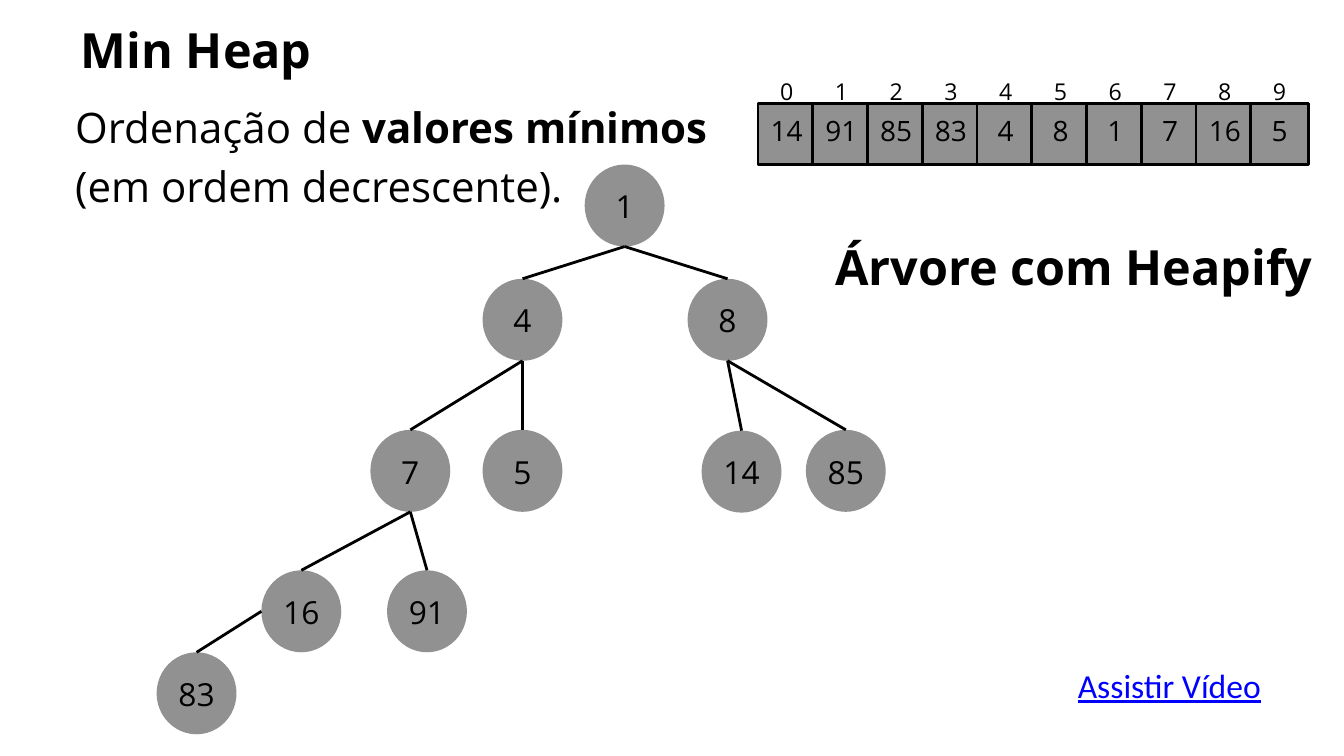
from lxml import etree
from pptx import Presentation
from pptx.dml.color import RGBColor
from pptx.enum import shapes, text
from pptx.oxml.ns import qn
from pptx.util import Cm, Pt

FONT = "Open Sans"
BLACK, GRAY, BLUE = "000000", "919191", "0000FF"
LINE_WIDTH = Pt(3)

ARRAY_VALUES = [14, 91, 85, 83, 4, 8, 1, 7, 16, 5]
NODE_WIDTH, NODE_HEIGHT = 3.02, 3.1
# Node value: left and top within the tree, parent value
TREE_NODES = {
    1: (16.18, 0, None),
    4: (12.32, 4.32, 1),
    8: (20.07, 4.32, 1),
    7: (8.08, 10.03, 4),
    5: (12.32, 10.03, 4),
    14: (20.6, 10.06, 8),
    85: (24.54, 10.03, 8),
    16: (3.96, 15.34, 7),
    91: (8.71, 15.34, 7),
    83: (0, 18.44, 16),
}


def color(hex_value):
    return RGBColor.from_string(hex_value)


def set_margins(frame, left=0, top=0, right=0, bottom=0):
    frame.margin_left, frame.margin_top = Cm(left), Cm(top)
    frame.margin_right, frame.margin_bottom = Cm(right), Cm(bottom)


def format_paragraph(paragraph, size, spacing=None, centered=True, bold=False,
                     font=FONT, font_color=BLACK):
    paragraph.alignment = text.PP_ALIGN.CENTER if centered else text.PP_ALIGN.LEFT
    if spacing:
        paragraph.line_spacing = Pt(spacing)
    for run in paragraph.runs:
        run.font.name, run.font.size, run.font.bold = font, Pt(size), bold
        run.font.color.rgb = color(font_color)


def add_text(slide, left, top, width, height, content):
    shape = slide.shapes.add_textbox(Cm(left), Cm(top), Cm(width), Cm(height))
    frame = shape.text_frame
    frame.word_wrap = True
    set_margins(frame)
    frame.text = content
    return frame


def add_filled_shape(slide, kind, left, top, width, height, value, size, spacing,
                     margins, outlined):
    shape = slide.shapes.add_shape(kind, Cm(left), Cm(top), Cm(width), Cm(height))
    shape.shadow.inherit = False
    shape.fill.solid()
    shape.fill.fore_color.rgb = color(GRAY)
    if outlined:
        shape.line.color.rgb = color(BLACK)
        shape.line.width = LINE_WIDTH
    else:
        shape.line.fill.background()
    frame = shape.text_frame
    set_margins(frame, *margins)
    frame.vertical_anchor = text.MSO_ANCHOR.MIDDLE
    frame.text = str(value)
    format_paragraph(frame.paragraphs[0], size, spacing)
    return shape


def place_title(slide, left, top, width, height):
    title = slide.shapes.title
    title.left, title.top, title.width, title.height = map(Cm, (left, top, width, height))
    frame = title.text_frame
    frame.text = "Min Heap"
    frame.word_wrap = True
    frame.auto_size = text.MSO_AUTO_SIZE.NONE
    frame.vertical_anchor = text.MSO_ANCHOR.TOP
    set_margins(frame)
    format_paragraph(frame.paragraphs[0], 52, 72.8, bold=True)


def add_description(slide, left, top, width, height):
    frame = add_text(slide, left, top, width, height,
                     "Ordenação de \n(em ordem decrescente).")
    strong_run = frame.paragraphs[0].add_run()
    strong_run.text = "valores mínimos"
    for paragraph in frame.paragraphs:
        format_paragraph(paragraph, 45, 63, centered=False)
    strong_run.font.bold = True


def add_array(slide, left, top, width, height):
    index_height, cell_width = 1.14, 2.17
    pitch = (width - cell_width) / (len(ARRAY_VALUES) - 1)
    for index, value in enumerate(ARRAY_VALUES):
        cell_left = left + index * pitch
        add_filled_shape(slide, shapes.MSO_SHAPE.RECTANGLE, cell_left, top + index_height,
                         cell_width, height - index_height, value, 30, 42,
                         (0.15, 0.15, 0.15, 0.63), outlined=True)
        # Index above the cell
        label = add_text(slide, cell_left, top, cell_width, index_height, str(index))
        format_paragraph(label.paragraphs[0], 24.8, 34.7)


def add_edge(slide, parent, child):
    # The last leaf hangs from the left side of its parent
    if child.left + child.width < parent.left:
        start = parent.left, parent.top + parent.height // 2
    else:
        start = parent.left + parent.width // 2, parent.top + parent.height
    edge = slide.shapes.add_connector(shapes.MSO_CONNECTOR.STRAIGHT, *start,
                                      child.left + child.width // 2, child.top)
    edge.line.color.rgb = color(BLACK)
    edge.line.width = LINE_WIDTH
    etree.SubElement(edge._element.spPr, qn("a:effectLst"))


def add_tree(slide, left, top):
    nodes = {}
    for value, (x, y, _) in TREE_NODES.items():
        nodes[value] = add_filled_shape(
            slide, shapes.MSO_SHAPE.OVAL, left + x, top + y, NODE_WIDTH, NODE_HEIGHT,
            value, 34, 47.6, (0.13, 0.13, 0.13, 0.33), outlined=False)
    for value, (_, _, parent) in TREE_NODES.items():
        if parent is not None:
            # A child wholly left of its parent's level start joins its side
            add_edge(slide, nodes[parent], nodes[value]) if value == 83 else \
                add_bottom_edge(slide, nodes[parent], nodes[value])


def add_bottom_edge(slide, parent, child):
    edge = slide.shapes.add_connector(
        shapes.MSO_CONNECTOR.STRAIGHT,
        parent.left + parent.width // 2, parent.top + parent.height,
        child.left + child.width // 2, child.top)
    edge.line.color.rgb = color(BLACK)
    edge.line.width = LINE_WIDTH
    etree.SubElement(edge._element.spPr, qn("a:effectLst"))


def add_caption(slide, left, top, width, height):
    frame = add_text(slide, left, top, width, height, "Árvore com Heapify")
    format_paragraph(frame.paragraphs[0], 52, 72.8, bold=True)


def add_video_label(slide, left, top, width, height):
    frame = add_text(slide, left, top, width, height, "Assistir Vídeo")
    set_margins(frame, 0.25, 0.13, 0.25, 0.13)
    paragraph = frame.paragraphs[0]
    format_paragraph(paragraph, 36, centered=False, font="Calibri", font_color=BLUE)
    paragraph.runs[0].font.underline = True


def main():
    presentation = Presentation()
    presentation.slide_width, presentation.slide_height = Cm(50.8), Cm(28.58)
    slide = presentation.slides.add_slide(presentation.slide_layouts[5])
    place_title(slide, 3.02, 0.38, 8.8, 2.46)
    add_description(slide, 2.84, 3.53, 23.98, 4.37)
    add_array(slide, 28.65, 2.77, 20.8, 3.45)
    add_tree(slide, 5.92, 6.22)
    add_caption(slide, 31.5, 8.61, 18.2, 2.46)
    add_video_label(slide, 40.49, 24.99, 7.75, 1.8)
    presentation.save("out.pptx")


if __name__ == "__main__":
    main()
